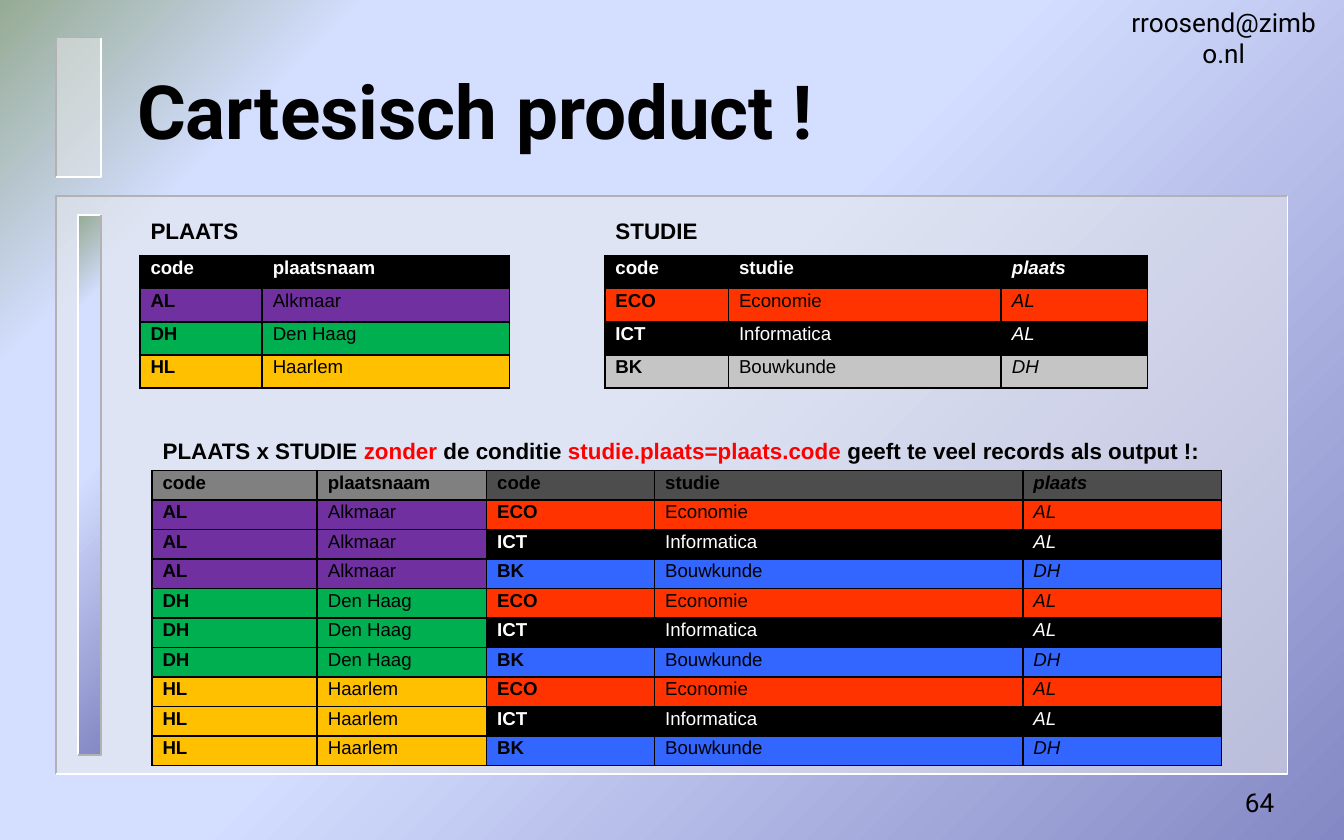
"""Build a slide that shows a Cartesian product of two tables."""
from itertools import product
from typing import NamedTuple, Optional

from lxml import etree
from pptx import Presentation
from pptx import util as u
from pptx.dml.color import RGBColor
from pptx.enum import text as t
from pptx.enum.shapes import MSO_SHAPE
from pptx.oxml.ns import qn
from pptx.util import Inches

BLACK = RGBColor(0x00, 0x00, 0x00)
WHITE = RGBColor(0xFF, 0xFF, 0xFF)
RED = RGBColor(0xFF, 0x00, 0x00)
PURPLE = RGBColor(0x70, 0x30, 0xA0)
GREEN = RGBColor(0x00, 0xB0, 0x50)
AMBER = RGBColor(0xFF, 0xC0, 0x00)
ORANGE = RGBColor(0xFF, 0x33, 0x00)
SILVER = RGBColor(0xC5, 0xC5, 0xC5)
BLUE = RGBColor(0x33, 0x66, 0xFF)
GRAY = RGBColor(0x80, 0x80, 0x80)
DARK_GRAY = RGBColor(0x4D, 0x4D, 0x4D)
PANEL = RGBColor(0xEA, 0xEA, 0xEA)
SHADE = RGBColor(0xB2, 0xB2, 0xB2)
GRADIENT = [
    (0, RGBColor(0x84, 0x88, 0xC4)),
    (53, RGBColor(0xD4, 0xDE, 0xFF)),
    (83, RGBColor(0xD4, 0xDE, 0xFF)),
    (100, RGBColor(0x96, 0xAB, 0x94)),
]
NO_STYLE = "{2D5ABB26-0587-4C30-8999-92F81FD0307C}"


class Panel(NamedTuple):
    left: float
    top: float
    width: float
    height: float
    raised: bool = False


class Entry(NamedTuple):
    text: str = ""
    fill: Optional[RGBColor] = None
    color: RGBColor = BLACK
    bold: bool = False
    italic: bool = False
    size: int = 10
    borders: str = "LRTB"
    align: t.PP_ALIGN = t.PP_ALIGN.JUSTIFY
    spacing: float = 0.8


class Place(NamedTuple):
    code: str
    name: str
    fill: RGBColor

    def entries(self) -> list[Entry]:
        return [Entry(self.code, self.fill, bold=True), Entry(self.name, self.fill)]


class Study(NamedTuple):
    code: str
    name: str
    place: str
    fill: RGBColor
    color: RGBColor = BLACK

    def entries(self) -> list[Entry]:
        return [
            Entry(self.code, self.fill, self.color, bold=True, align=t.PP_ALIGN.LEFT),
            Entry(self.name, self.fill, self.color),
            Entry(self.place, self.fill, self.color, italic=True),
        ]


PANELS = [
    Panel(0.42, 1.46, 9.16, 4.3),
    Panel(0.58, 1.6, 0.17, 4.02, raised=True),
    Panel(0.42, 0.28, 0.33, 1.04),
]
PLACES = [Place("AL", "Alkmaar", PURPLE), Place("DH", "Den Haag", GREEN), Place("HL", "Haarlem", AMBER)]
STUDIES = [
    Study("ECO", "Economie", "AL", ORANGE),
    Study("ICT", "Informatica", "AL", BLACK, WHITE),
    Study("BK", "Bouwkunde", "DH", SILVER),
]
JOINED_STUDIES = STUDIES[:2] + [STUDIES[2]._replace(fill=BLUE)]
CAPTION_RUNS = [
    ("PLAATS x STUDIE ", BLACK),
    ("zonder", RED),
    (" de conditie ", BLACK),
    ("studie.plaats=plaats.code", RED),
    (" geeft te veel records als output !:", BLACK),
]


def paint_gradient(fill, owner) -> None:
    fill.gradient()
    fill.gradient_angle = 135
    stops = next(owner.iter(qn("a:gsLst")))
    for stop in list(stops):
        stops.remove(stop)
    for position, color in GRADIENT:
        stop = etree.SubElement(stops, qn("a:gs"), pos=str(position * 1000))
        etree.SubElement(stop, qn("a:srgbClr"), val=str(color))


def draw_panel(slide, panel: Panel) -> None:
    left, top, width, height = map(Inches, panel[:4])
    right, bottom = left + width, top + height
    face = slide.shapes.add_shape(MSO_SHAPE.RECTANGLE, left, top, width, height)
    face.shadow.inherit = False
    face.line.fill.background()
    if panel.raised:
        paint_gradient(face.fill, face.element)
    else:
        face.fill.solid()
        face.fill.fore_color.rgb = PANEL
        color = next(face.element.spPr.iter(qn("a:srgbClr")))
        etree.SubElement(color, qn("a:alpha"), val="50000")
    edge_colors = (WHITE, SHADE) if panel.raised else (SHADE, WHITE)
    for corner, color in zip([(left, top), (right, bottom)], edge_colors):
        builder = slide.shapes.build_freeform(right, top)
        builder.add_line_segments([corner, (left, bottom)], close=False)
        edge = builder.convert_to_shape()
        edge.shadow.inherit = False
        edge.fill.background()
        edge.line.color.rgb = color
        edge.line.width = u.Pt(1)


def write_label(shape, label: str, size: int, align: t.PP_ALIGN, bold: bool = False) -> None:
    frame = shape.text_frame
    frame.text = label
    frame.vertical_anchor = t.MSO_ANCHOR.MIDDLE
    paragraph = frame.paragraphs[0]
    paragraph.alignment = align
    font = paragraph.runs[0].font
    font.name, font.size, font.bold = "Roboto", u.Pt(size), bold
    font.color.rgb = BLACK


def add_note(slide, label: str, left: float, top: float, width: float, align: t.PP_ALIGN) -> None:
    note = slide.shapes.add_textbox(Inches(left), Inches(top), Inches(width), Inches(0.42))
    write_label(note, label, 14, align)
    note.text_frame.word_wrap = False


def fill_cell(cell, entry: Entry) -> None:
    cell.margin_left = cell.margin_right = Inches(0.08)
    cell.margin_top = cell.margin_bottom = Inches(0.04)
    properties = cell._tc.get_or_add_tcPr()
    for side in entry.borders:
        border = etree.SubElement(properties, qn(f"a:ln{side}"), w=str(u.Pt(1)))
        solid = etree.SubElement(border, qn("a:solidFill"))
        etree.SubElement(solid, qn("a:srgbClr"), val=str(BLACK))
    if entry.fill is None:
        cell.fill.background()
    else:
        cell.fill.solid()
        cell.fill.fore_color.rgb = entry.fill
    paragraph = cell.text_frame.paragraphs[0]
    paragraph.alignment, paragraph.line_spacing = entry.align, entry.spacing
    if not entry.text:
        etree.SubElement(paragraph._p, qn("a:endParaRPr"), sz=str(entry.size * 100))
        return
    runs = CAPTION_RUNS if entry.text == "caption" else [(entry.text, entry.color)]
    for words, color in runs:
        run = paragraph.add_run()
        run.text = words
        font = run.font
        font.name, font.size = "Arial", u.Pt(entry.size)
        font.bold, font.italic = entry.bold, entry.italic
        font.color.rgb = color


def draw_table(slide, left: float, top: float, widths: list[float], heights: list[float],
               rows: list[list[Entry]], spans: list[tuple[int, int]]) -> None:
    frame = slide.shapes.add_table(len(rows), len(widths), Inches(left), Inches(top),
                                   Inches(sum(widths)), Inches(sum(heights)))
    table = frame.table
    table.first_row = table.horz_banding = False
    next(frame.element.iter(qn("a:tableStyleId"))).text = NO_STYLE
    for column, width in zip(table.columns, widths):
        column.width = Inches(width)
    for row, height in zip(table.rows, heights):
        row.height = Inches(height)
    for first, last in spans:
        table.cell(0, first).merge(table.cell(0, last))
    for row, entries in zip(table.rows, rows):
        for cell, entry in zip(row.cells, entries):
            fill_cell(cell, entry)


def header(place_fill: RGBColor, study_fill: RGBColor, color: RGBColor) -> tuple[list[Entry], list[Entry]]:
    places = [Entry(name, place_fill, color, True) for name in ("code", "plaatsnaam")]
    studies = [Entry(name, study_fill, color, True, name == "plaats") for name in ("code", "studie", "plaats")]
    return places, studies


def main() -> None:
    deck = Presentation()
    deck.slide_width, deck.slide_height = Inches(10), Inches(6.25)
    slide = deck.slides.add_slide(deck.slide_layouts[5])
    background = slide.background.fill
    paint_gradient(background, slide.element)
    for panel in PANELS:
        draw_panel(slide, panel)

    title = slide.shapes.title
    title.left, title.top, title.width, title.height = map(Inches, (0.92, 0.31, 8.5, 1.01))
    write_label(title, "Cartesisch product !", 40, t.PP_ALIGN.LEFT, bold=True)
    add_note(slide, "rroosend@zimbo.nl", 8.28, 0.07, 1.65, t.PP_ALIGN.CENTER)
    add_note(slide, "64", 7.5, 5.76, 2.08, t.PP_ALIGN.RIGHT)

    heading = Entry(bold=True, size=12, borders="B")
    gap = Entry(borders="LR", spacing=1.0)
    place_head, study_head = header(BLACK, BLACK, WHITE)
    source_rows = [[heading._replace(text="PLAATS"), heading, gap._replace(size=12, borders=""),
                    heading._replace(text="STUDIE"), heading, heading],
                   place_head + [gap] + study_head]
    source_rows += [p.entries() + [gap] + s.entries() for p, s in zip(PLACES, STUDIES)]
    draw_table(slide, 1.04, 1.62, [0.91, 1.84, 0.71, 0.92, 2.03, 1.09], [0.27] + [0.24] * 4,
               source_rows, [(0, 1), (3, 5)])

    place_head, study_head = header(GRAY, DARK_GRAY, BLACK)
    joined_rows = [[heading._replace(text="caption")] + [heading] * 4, place_head + study_head]
    joined_rows += [p.entries() + s.entries() for p, s in product(PLACES, JOINED_STUDIES)]
    draw_table(slide, 1.13, 3.26, [1.23, 1.26, 1.25, 2.74, 1.48], [0.24] + [0.22] * 10,
               joined_rows, [(0, 4)])
    deck.save("out.pptx")


if __name__ == "__main__":
    main()
